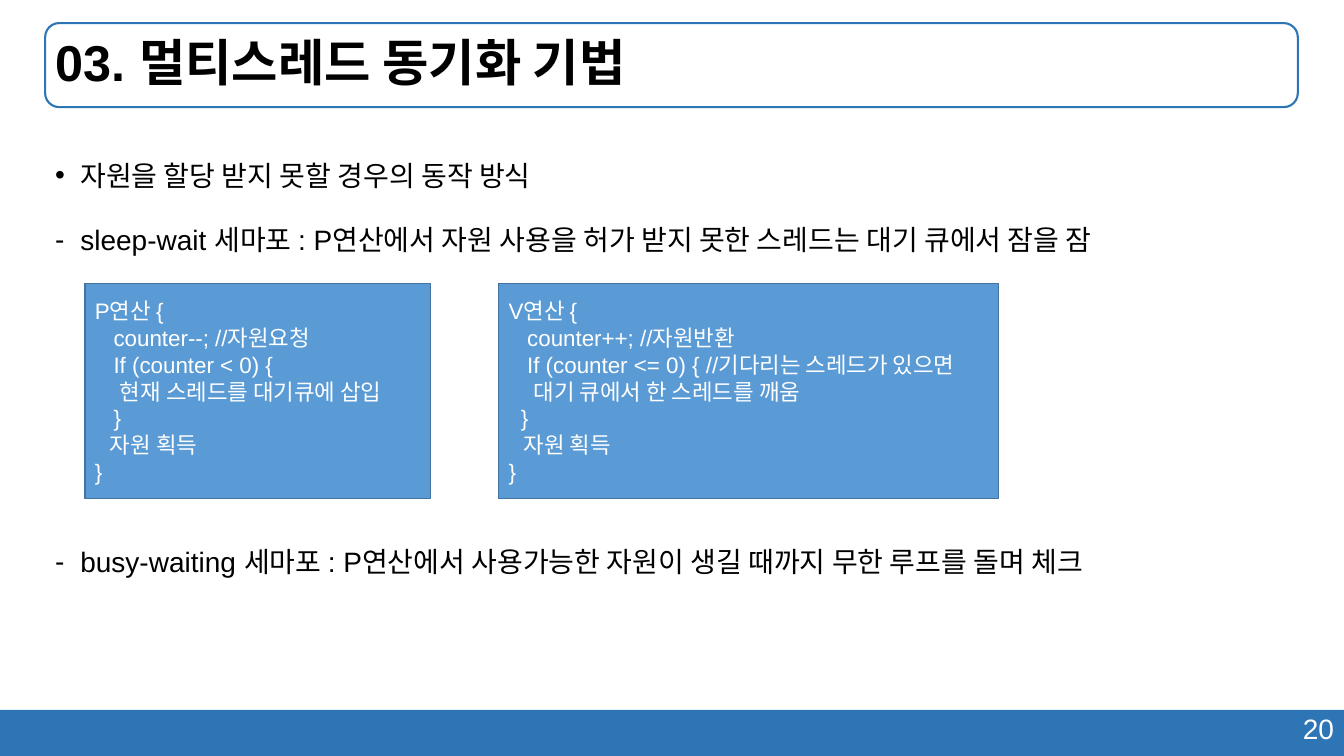
from dataclasses import dataclass

from lxml.etree import SubElement
from pptx import Presentation
from pptx.dml.color import RGBColor
from pptx.enum.shapes import MSO_SHAPE
from pptx.enum.text import MSO_ANCHOR, PP_ALIGN
from pptx.oxml.ns import qn
from pptx.util import Emu, Pt

PX = 9525  # 96 px to the inch


@dataclass(frozen=True)
class Theme:
    font: str = "Arial"
    accent: RGBColor = RGBColor(0x2E, 0x75, 0xB6)
    code_fill: RGBColor = RGBColor(0x5B, 0x9B, 0xD5)
    code_line: RGBColor = RGBColor(0x43, 0x73, 0x9E)
    dark: RGBColor = RGBColor(0, 0, 0)
    light: RGBColor = RGBColor(0xFF, 0xFF, 0xFF)
    title_size: int = 36
    body_size: int = 20
    code_size: int = 16


THEME = Theme()

TITLE_BOX = (43, 22, 1193, 80)
CODE_TOP, CODE_HEIGHT = 270, 205

# marker, text, space before in points; the last gap leaves room for the code boxes
BULLETS = [
    ("•", "자원을 할당 받지 못할 경우의 동작 방식", 0),
    ("-", "sleep-wait 세마포 : P연산에서 자원 사용을 허가 받지 못한 스레드는 대기 큐에서 잠을 잠", 10),
    ("-", "busy-waiting 세마포 : P연산에서 사용가능한 자원이 생길 때까지 무한 루프를 돌며 체크", 194),
]

P_OPERATION = """P연산 {
   counter--; //자원요청
   If (counter < 0) {
     현재 스레드를 대기큐에 삽입
   }
   자원 획득
}"""

V_OPERATION = """V연산 {
   counter++; //자원반환
   If (counter <= 0) { //기다리는 스레드가 있으면
     대기 큐에서 한 스레드를 깨움
  }
   자원 획득
}"""


def to_emu(box):
    return [Emu(length * PX) for length in box]


def style_paragraph(paragraph, size, color, bold=False, align=PP_ALIGN.LEFT):
    paragraph.alignment = align
    font = paragraph.font
    font.name = THEME.font
    font.size = Pt(size)
    font.bold = bold
    font.color.rgb = color


def add_panel(slide, kind, box, fill=None, line=None, width=1):
    """Add a flat shape; without a fill or line colour that part stays empty."""
    shape = slide.shapes.add_shape(kind, *to_emu(box))
    shape.shadow.inherit = False
    if fill is None:
        shape.fill.background()
    else:
        shape.fill.solid()
        shape.fill.fore_color.rgb = fill
    if line is None:
        shape.line.fill.background()
    else:
        shape.line.color.rgb = line
        shape.line.width = Pt(width)
    return shape


def add_text_frame(slide, box, anchor=MSO_ANCHOR.TOP):
    frame = slide.shapes.add_textbox(*to_emu(box)).text_frame
    frame.word_wrap = True
    frame.vertical_anchor = anchor
    return frame


def add_title(slide, text):
    add_panel(slide, MSO_SHAPE.ROUNDED_RECTANGLE, TITLE_BOX, line=THEME.accent, width=1.5)
    paragraph = add_text_frame(slide, TITLE_BOX, MSO_ANCHOR.MIDDLE).paragraphs[0]
    paragraph.text = text
    paragraph.line_spacing = 0.9
    style_paragraph(paragraph, THEME.title_size, THEME.dark, bold=True)


def add_footer(slide, number):
    add_panel(slide, MSO_SHAPE.RECTANGLE, (0, 676, 1280, 44), fill=THEME.accent)
    paragraph = add_text_frame(slide, (905, 673, 375, 42)).paragraphs[0]
    paragraph.text = number
    style_paragraph(paragraph, THEME.body_size, THEME.light, align=PP_ALIGN.RIGHT)


def set_bullet(paragraph, marker, indent):
    properties = paragraph._p.get_or_add_pPr()
    properties.set("marL", str(indent * PX))
    properties.set("indent", str(-indent * PX))
    SubElement(properties, qn("a:buFont"), typeface=THEME.font)
    SubElement(properties, qn("a:buChar"), char=marker)


def add_bullets(slide, box, bullets):
    frame = add_text_frame(slide, box)
    for index, (marker, text, space_before) in enumerate(bullets):
        paragraph = frame.add_paragraph() if index else frame.paragraphs[0]
        paragraph.text = text
        paragraph.line_spacing = 1.5
        paragraph.space_before = Pt(space_before)
        set_bullet(paragraph, marker, indent=24)
        style_paragraph(paragraph, THEME.body_size, THEME.dark)


def add_code(slide, left, width, code):
    shape = add_panel(slide, MSO_SHAPE.RECTANGLE, (left, CODE_TOP, width, CODE_HEIGHT),
                      fill=THEME.code_fill, line=THEME.code_line)
    frame = shape.text_frame
    frame.word_wrap = True
    frame.vertical_anchor = MSO_ANCHOR.MIDDLE
    frame.text = code
    for paragraph in frame.paragraphs:
        style_paragraph(paragraph, THEME.code_size, THEME.light)


def main():
    presentation = Presentation()
    presentation.slide_width, presentation.slide_height = to_emu((1280, 720))
    slide = presentation.slides.add_slide(presentation.slide_layouts[6])
    add_footer(slide, "20")
    add_title(slide, "03. 멀티스레드 동기화 기법")
    add_bullets(slide, (43, 130, 1193, 531), BULLETS)
    add_code(slide, 81, 329, P_OPERATION)
    add_code(slide, 475, 476, V_OPERATION)
    presentation.save("out.pptx")


if __name__ == "__main__":
    main()
